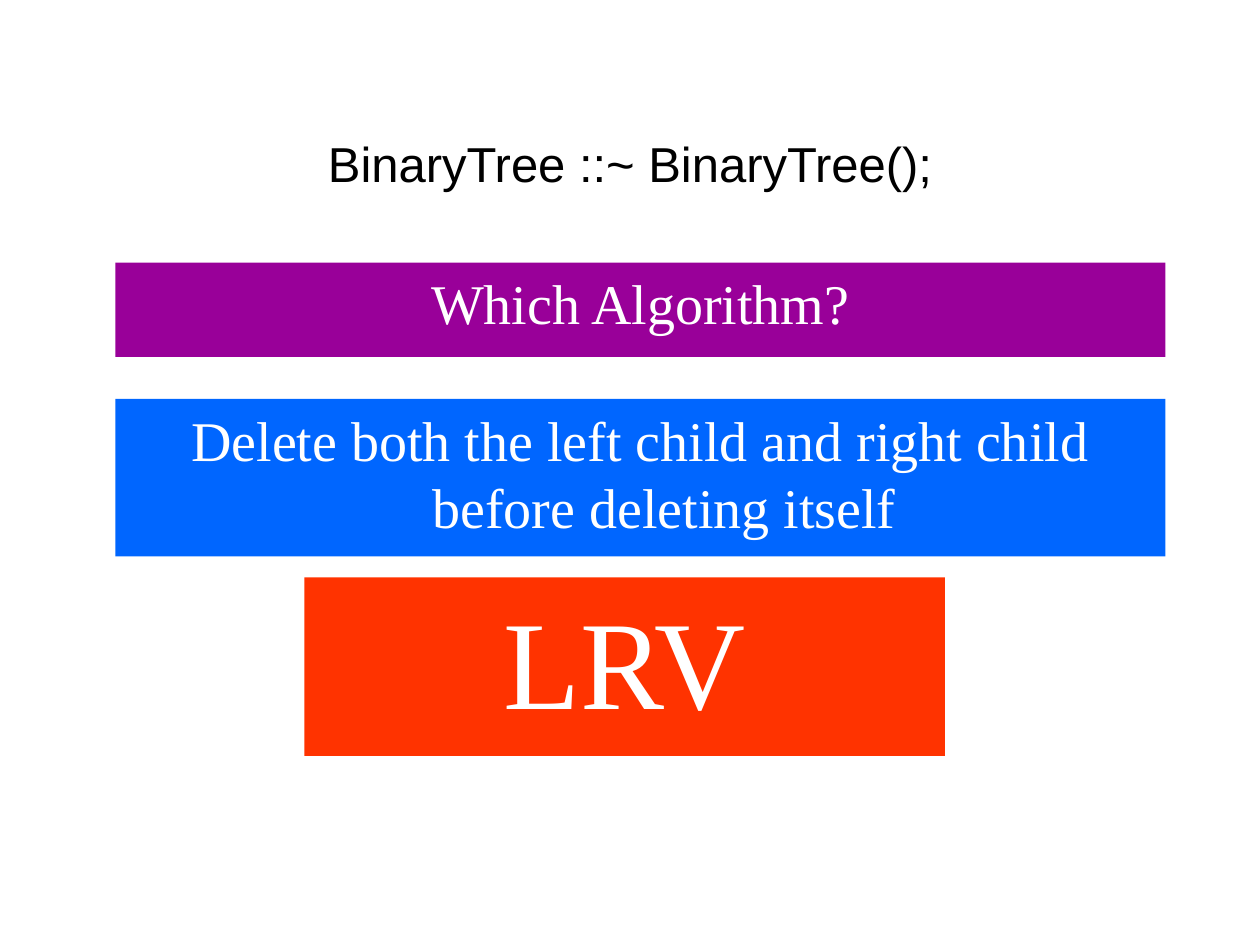
from pptx import Presentation
from pptx import util as u
from pptx.dml.color import RGBColor
from pptx.enum import shapes, text

BLACK = RGBColor(0x00, 0x00, 0x00)
WHITE = RGBColor(0xFF, 0xFF, 0xFF)
PURPLE = RGBColor(0x99, 0x00, 0x99)
BLUE = RGBColor(0x00, 0x66, 0xFF)
RED = RGBColor(0xFF, 0x33, 0x00)

# Grid of 120 columns by 90 rows
CELL = u.Inches(10) // 120
HANGING = u.Inches(0.38)


def grid(*cells):
    """Turn left, top, width and height in cells into lengths."""
    return [CELL * n for n in cells]


def write(frame, words, size, font, color, anchor, before=0, hanging=0):
    frame.word_wrap = True
    frame.vertical_anchor = anchor
    paragraph = frame.paragraphs[0]
    paragraph.alignment = text.PP_ALIGN.CENTER
    paragraph.space_before = u.Pt(before)
    if hanging:
        properties = paragraph._p.get_or_add_pPr()
        properties.set("marL", str(hanging))
        properties.set("indent", str(-hanging))
    run = paragraph.add_run()
    run.text = words
    run.font.size = u.Pt(size)
    run.font.name = font
    run.font.color.rgb = color


def place_title(slide, box, words):
    title = slide.shapes.title
    title.left, title.top, title.width, title.height = grid(*box)
    write(title.text_frame, words, 28, "Arial", BLACK, text.MSO_ANCHOR.MIDDLE)


def place_banner(slide, box, words, fill, size):
    banner = slide.shapes.add_shape(shapes.MSO_SHAPE.RECTANGLE, *grid(*box))
    banner.shadow.inherit = False
    banner.fill.solid()
    banner.fill.fore_color.rgb = fill
    banner.line.fill.background()
    write(banner.text_frame, words, size, "Times New Roman", WHITE,
          text.MSO_ANCHOR.TOP, before=size // 8, hanging=HANGING)


def main():
    deck = Presentation()
    deck.slide_width, deck.slide_height = u.Inches(10), u.Inches(7.5)
    slide = deck.slides.add_slide(deck.slide_layouts[5])

    # Destructor under discussion
    place_title(slide, (9, 8, 102, 15), "BinaryTree ::~ BinaryTree();")

    # Explanation, traversal order and question
    place_banner(slide, (11, 38, 100, 15),
                 "Delete both the left child and right child before deleting itself",
                 BLUE, 32)
    place_banner(slide, (29, 55, 61, 17), "LRV", RED, 72)
    place_banner(slide, (11, 25, 100, 9), "Which Algorithm?", PURPLE, 32)

    deck.save("out.pptx")


if __name__ == "__main__":
    main()
